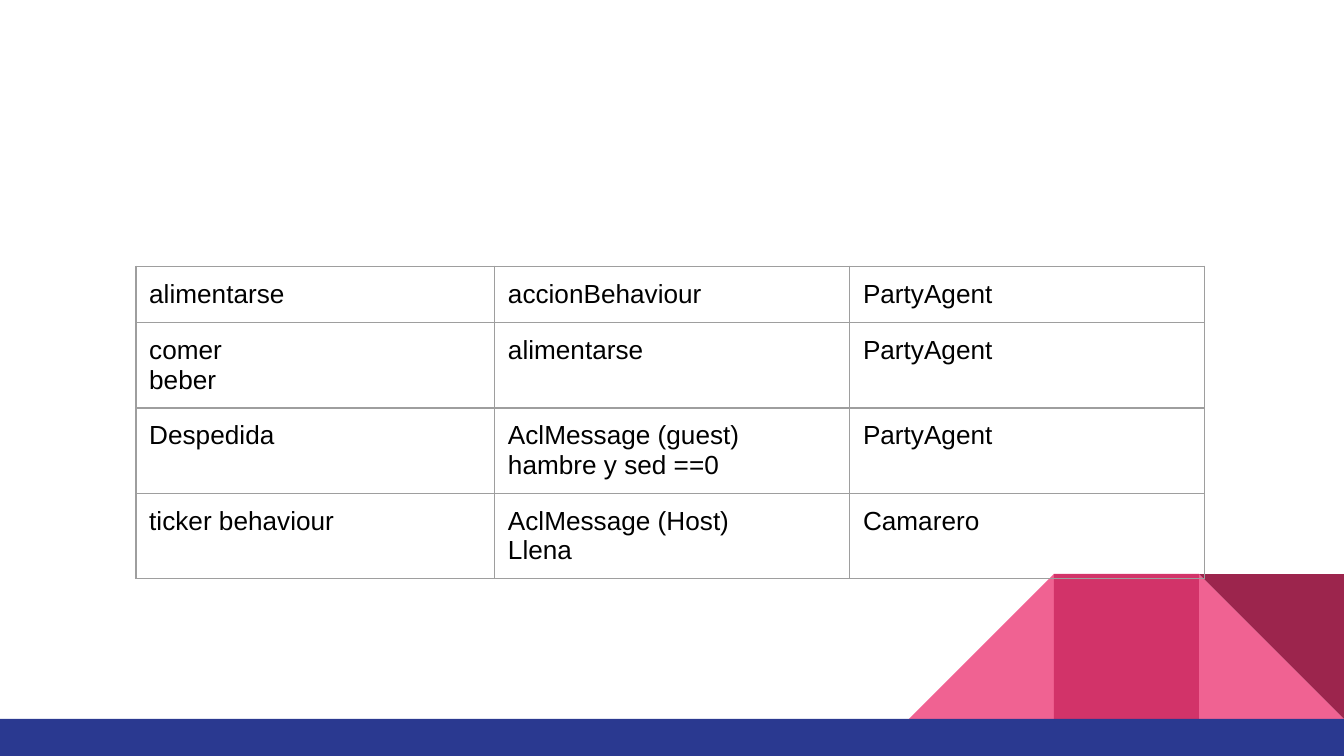
import pptx
import pptx.util
import pptx.dml.color
import pptx.enum.shapes
import pptx.oxml
import pptx.oxml.ns

Cm = pptx.util.Cm
Pt = pptx.util.Pt
RGBColor = pptx.dml.color.RGBColor
Kind = pptx.enum.shapes.MSO_SHAPE

PINK = RGBColor(0xF0, 0x62, 0x92)
ROSE = RGBColor(0xD2, 0x33, 0x69)
WINE = RGBColor(0x9C, 0x25, 0x4D)
NAVY = RGBColor(0x2A, 0x39, 0x90)
GREY = RGBColor(0x9E, 0x9E, 0x9E)
BLACK = RGBColor(0, 0, 0)

WIDTH, HEIGHT = Cm(25.4), Cm(14.29)
BAR = Cm(0.7)
TILE = Cm(2.74)
COLS = [Cm(6.78), Cm(6.71), Cm(6.71)]
ROWS = [
    ["alimentarse", "accionBehaviour", "PartyAgent"],
    ["comer\nbeber", "alimentarse", "PartyAgent"],
    ["Despedida", "AclMessage (guest)\nhambre y sed ==0", "PartyAgent"],
    ["ticker behaviour", "AclMessage (Host)\nLlena", "Camarero"],
]


def add_form(slide, kind, box, color):
    form = slide.shapes.add_shape(kind, *box)
    form.shadow.inherit = False
    form.fill.solid()
    form.fill.fore_color.rgb = color
    form.line.fill.background()
    return form


def add_tiles(slide, box):
    """Three square tiles side by side; the last is split on its diagonal."""
    left, top, width, height = box
    side = width // 3
    first, second, third = [(left + i * side, top, side, height) for i in range(3)]
    add_form(slide, Kind.RIGHT_TRIANGLE, third, PINK)
    slope = add_form(slide, Kind.RIGHT_TRIANGLE, first, PINK)
    slope._element.spPr.xfrm.set("flipH", "1")
    add_form(slide, Kind.RECTANGLE, second, ROSE)
    add_form(slide, Kind.RIGHT_TRIANGLE, third, WINE).rotation = 180


def add_edges(cell):
    props = cell._tc.get_or_add_tcPr()
    space = pptx.oxml.ns.nsdecls("a")
    for spot, side in enumerate("LRTB"):
        edge = pptx.oxml.parse_xml(
            f'<a:ln{side} {space} w="{Pt(0.75)}"><a:solidFill>'
            f'<a:srgbClr val="{GREY}"/></a:solidFill></a:ln{side}>')
        props.insert(spot, edge)


def fill_cell(cell, text):
    cell.margin_left = cell.margin_right = Cm(0.25)
    cell.margin_top = cell.margin_bottom = Cm(0.25)
    cell.fill.background()
    add_edges(cell)
    frame = cell.text_frame
    for i, line in enumerate(text.split("\n")):
        para = frame.add_paragraph() if i else frame.paragraphs[0]
        run = para.add_run()
        run.text = line
        run.font.name = "Arial"
        run.font.size = Pt(14)
        run.font.color.rgb = BLACK


def add_grid(slide, box):
    table = slide.shapes.add_table(len(ROWS), len(COLS), *box).table
    table.first_row = table.horz_banding = False
    for col, width in zip(table.columns, COLS):
        col.width = width
    for row, texts in zip(table.rows, ROWS):
        for cell, text in zip(row.cells, texts):
            fill_cell(cell, text)


def main():
    deck = pptx.Presentation()
    deck.slide_width, deck.slide_height = WIDTH, HEIGHT
    slide = deck.slides.add_slide(deck.slide_layouts[6])
    floor = HEIGHT - BAR
    add_tiles(slide, (WIDTH - 3 * TILE, floor - TILE, 3 * TILE, TILE))
    add_form(slide, Kind.RECTANGLE, (0, floor, WIDTH, BAR), NAVY)
    add_grid(slide, (Cm(2.57), Cm(5.03), sum(COLS), len(ROWS) * Cm(1.07)))
    deck.save("out.pptx")


if __name__ == "__main__":
    main()
